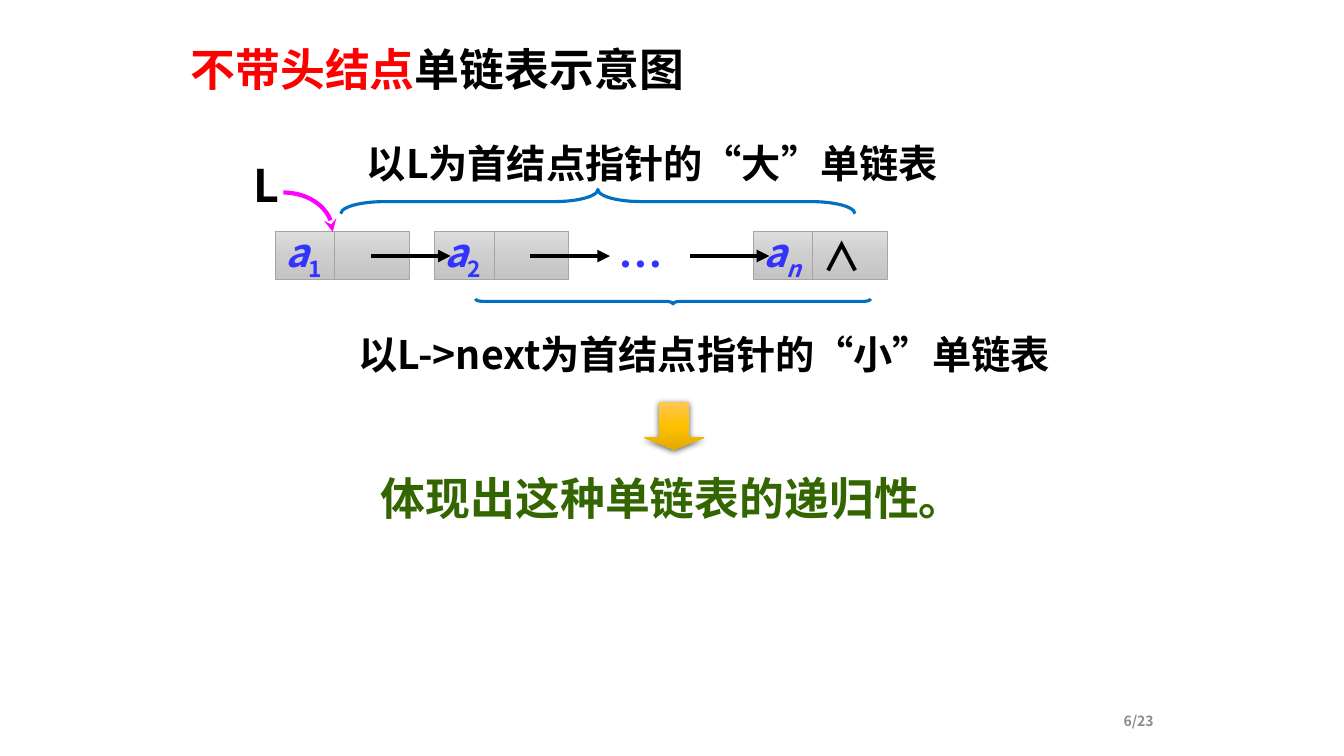
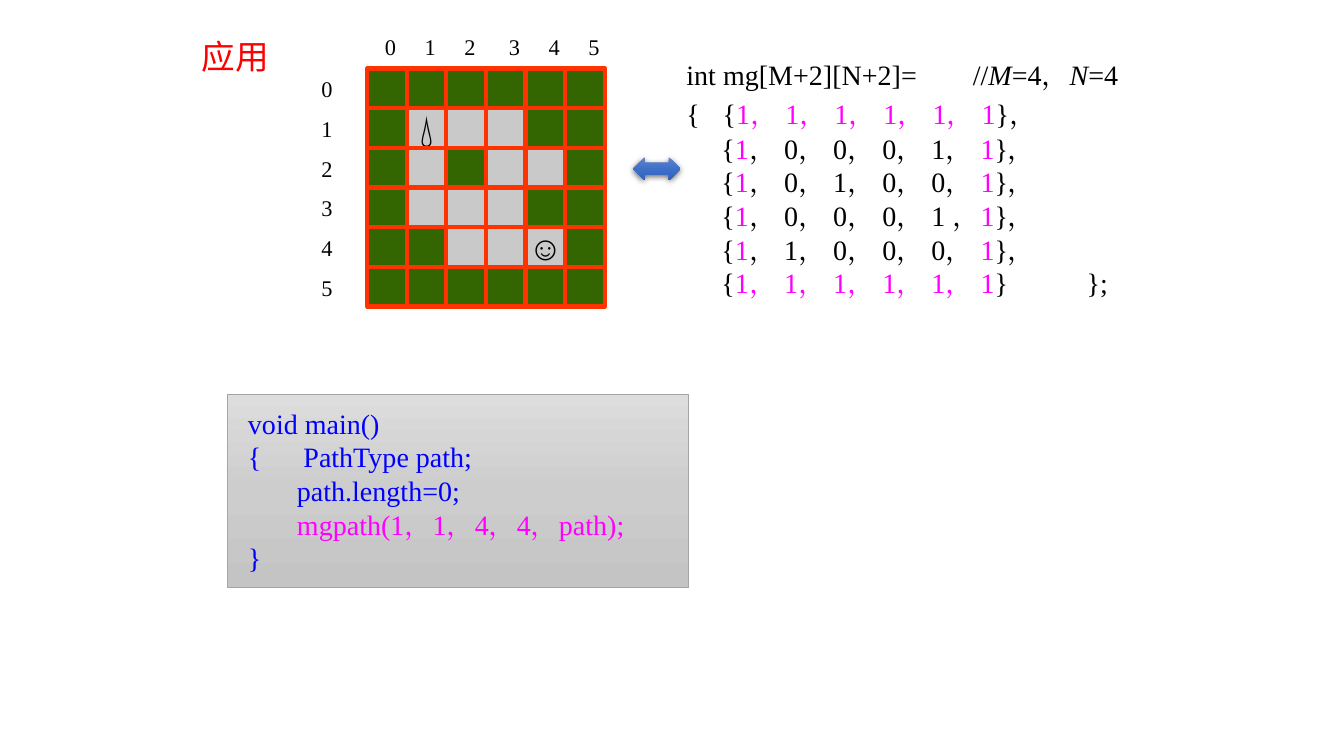
from copy import deepcopy
from math import cos, pi, sin

from lxml.etree import SubElement
from pptx import Presentation
from pptx.dml.color import RGBColor
from pptx.enum.shapes import MSO_CONNECTOR, MSO_SHAPE
from pptx.enum.text import MSO_ANCHOR, MSO_AUTO_SIZE, PP_ALIGN
from pptx.oxml.ns import qn
from pptx.util import Inches, Pt

# Shared fonts and colours
SANS, SERIF = "Noto Sans CJK SC", "Times New Roman"
BLACK, RED, PINK, GREEN = "000000", "FF0000", "FF00FF", "336600"
BLUE, CODE, BRACE, EDGE = "3333FF", "0000FF", "0070C0", "A5A5A5"
LIGHT, FRAME, PALE = "C9C9C9", "FF3300", "8C8C8C"
GREY = ("DDDDDD", "CDCDCD", "C4C4C4")
GOLD = ("FFC752", "FFC000", "E3AB00")
SKY = ("6384CB", "3E70CA", "3162BA")

# Maze: 1 is wall, 0 is floor
MAZE = ("111111", "100011", "101001", "100011", "110001", "111111")
SIGNS = {(1, 1): "💧", (4, 4): "☺"}
CELL = 2.36 / 6


def rgb(code):
    return RGBColor.from_string(code)


def box(at):
    return [Inches(v) for v in at]


# Text
def write(frame, lines, size, font=SANS, bold=True,
          align=PP_ALIGN.LEFT, tabs=()):
    """Each line is a list of (text, colour, marks) runs.

    Marks: i italic, s subscript, l large.
    """
    for i, line in enumerate(lines):
        para = frame.paragraphs[0] if i == 0 else frame.add_paragraph()
        para.alignment = align
        if tabs:
            stops = SubElement(para._p.get_or_add_pPr(), qn("a:tabLst"))
            for stop in tabs:
                SubElement(stops, qn("a:tab"), pos=str(Inches(stop)), algn="l")
        for text, tint, *marks in line:
            run = para.add_run()
            run.text = text
            face = run.font
            face.name, face.bold = font, bold
            face.size = Pt(24 if "l" in marks else size)
            face.italic = "i" in marks
            face.color.rgb = rgb(tint)
            props = run._r.get_or_add_rPr()
            if "s" in marks:
                props.set("baseline", "-25000")
            SubElement(props, qn("a:ea"), typeface=font)


def note(slide, at, lines, size, anchor=MSO_ANCHOR.TOP, **style):
    frame = slide.shapes.add_textbox(*box(at)).text_frame
    frame.word_wrap = True
    if anchor == MSO_ANCHOR.TOP:
        frame.auto_size = MSO_AUTO_SIZE.SHAPE_TO_FIT_TEXT
    frame.vertical_anchor = anchor
    write(frame, lines, size, **style)


def head(slide, at, runs, size, bold):
    title = slide.shapes.title
    title.left, title.top, title.width, title.height = box(at)
    frame = title.text_frame
    frame.word_wrap = True
    frame.auto_size = MSO_AUTO_SIZE.SHAPE_TO_FIT_TEXT
    frame.vertical_anchor = MSO_ANCHOR.TOP
    write(frame, [runs], size, bold=bold)


# Shapes
def paint(shape, fill=None, line=None, width=0.5):
    """Fill is a hex string, a trio of gradient stops or None."""
    shape.shadow.inherit = False
    if fill is None:
        shape.fill.background()
    elif isinstance(fill, str):
        shape.fill.solid()
        shape.fill.fore_color.rgb = rgb(fill)
    else:
        shape.fill.gradient()
        shape.fill.gradient_angle = 270
        stops = shape._element.spPr.find(".//" + qn("a:gsLst"))
        stops.insert(1, deepcopy(stops[0]))
        for stop, place, tint in zip(shape.fill.gradient_stops, (0, 0.5, 1), fill):
            stop.position = place
            stop.color.rgb = rgb(tint)
    if line:
        shape.line.color.rgb = rgb(line)
        shape.line.width = Pt(width)
    else:
        shape.line.fill.background()


def draw(slide, kind, at, fill=None, line=None, width=0.5, adjust=()):
    shape = slide.shapes.add_shape(kind, *box(at))
    paint(shape, fill, line, width)
    for i, value in enumerate(adjust):
        shape.adjustments[i] = value
    return shape


def label(shape, runs, size, **style):
    shape.text_frame.word_wrap = False
    shape.text_frame.vertical_anchor = MSO_ANCHOR.MIDDLE
    write(shape.text_frame, [runs], size, **style)


def block(slide, kind, at, fill, adjust):
    """Gradient arrow with a soft shadow below."""
    shape = draw(slide, kind, at, fill, adjust=adjust)
    effects = shape._element.spPr.find(qn("a:effectLst"))
    shade = SubElement(effects, qn("a:outerShdw"), blurRad=str(Pt(4.5)),
                       dist=str(Pt(1.5)), dir="5400000", rotWithShape="0")
    tint = SubElement(shade, qn("a:srgbClr"), val=BLACK)
    SubElement(tint, qn("a:alpha"), val="63000")


def brace(slide, at, turn, curve):
    shape = draw(slide, MSO_SHAPE.RIGHT_BRACE, at, None, BRACE, 2.25, (curve, 0.5))
    shape.rotation = turn


# Lines
def tip(shape, kind):
    SubElement(shape._element.spPr.find(qn("a:ln")), qn("a:tailEnd"), type=kind)


def arrow(slide, left, top, width):
    line = slide.shapes.add_connector(
        MSO_CONNECTOR.STRAIGHT, *box((left, top, left + width, top)))
    line.line.color.rgb = rgb(BLACK)
    line.line.width = Pt(3)
    tip(line, "triangle")
    SubElement(line._element.spPr, qn("a:effectLst"))


def hook(slide, left, top, width, height):
    """Quarter arc from the top left to the bottom right."""
    turns = [pi / 2 * i / 24 for i in range(25)]
    points = [box((left + width * sin(t), top + height * (1 - cos(t))))
              for t in turns]
    maker = slide.shapes.build_freeform(*points[0])
    maker.add_line_segments(points[1:], close=False)
    curve = maker.convert_to_shape()
    paint(curve, None, PINK, 3)
    tip(curve, "stealth")


# Slide 1: linked list
def node(slide, left, runs, mark=None):
    cells = [draw(slide, MSO_SHAPE.RECTANGLE, (x, 2.3, 0.74, 0.47), GREY, EDGE)
             for x in (left, left + 0.59)]
    label(cells[0], runs, 28)
    if mark:
        label(cells[1], [(mark, BLACK)], 28)


def chain(slide):
    head(slide, (1.79, 0.36, 6.01, 0.64),
         [("不带头结点", RED), ("单链表示意图", BLACK)], 32, True)

    # Nodes and pointers
    step = 1.58
    node(slide, 2.73, [("a", BLUE, "i"), ("1", BLUE, "s")])
    node(slide, 2.73 + step, [("a", BLUE, "i"), ("2", BLUE, "s")])
    node(slide, 2.73 + 3 * step, [("a", BLUE, "i"), ("n", BLUE, "i", "s")], "∧")
    note(slide, (6.04, 2.3, 0.79, 0.64), [[("…", BLUE)]], 32)
    hook(slide, 2.81, 1.91, 0.49, 0.39)
    note(slide, (2.42, 1.52, 0.59, 0.64), [[("L", BLACK)]], 32)
    for i in range(3):
        arrow(slide, 3.68 + i * step, 2.54, 0.79)

    # Braces and their captions
    note(slide, (3.54, 1.33, 6.12, 0.57),
         [[("以L为首结点指针的“大”单链表", BLACK)]], 28)
    brace(slide, (5.81, -0.55, 0.24, 5.1), 270, 1.8)
    brace(slide, (6.65, 1.03, 0.05, 3.92), 90, 1.37)
    note(slide, (3.46, 3.23, 7.3, 0.57),
         [[("以L->next为首结点指针的“小”单链表", BLACK)]], 28)

    # Conclusion and page number
    block(slide, MSO_SHAPE.DOWN_ARROW, (6.39, 3.99, 0.59, 0.47), GOLD, (0.5, 0.25))
    note(slide, (3.68, 4.62, 6.38, 0.64),
         [[("体现出这种单链表的递归性。", GREEN)]], 32)
    note(slide, (8.73, 6.95, 2.81, 0.4), [[("6/23", PALE)]], 10,
         anchor=MSO_ANCHOR.MIDDLE, align=PP_ALIGN.RIGHT)


# Slide 2: maze
def grid(slide):
    for r, row in enumerate(MAZE):
        for c, digit in enumerate(row):
            at = (3.64 + c * CELL, 0.68 + r * CELL, CELL, CELL)
            fill = GREEN if digit == "1" else LIGHT
            cell = draw(slide, MSO_SHAPE.RECTANGLE, at, fill, FRAME, 3)
            if (r, c) in SIGNS:
                label(cell, [(SIGNS[r, c], BLACK)], 24, font=SERIF,
                      bold=False, align=PP_ALIGN.CENTER)
    for i in range(len(MAZE)):
        shift = 0.05 if i > 2 else 0
        for left, top in ((3.72 + i * CELL + shift, 0.28), (3.09, 0.7 + i * CELL)):
            note(slide, (left, top, 0.47, 0.37), [[(str(i), BLACK)]], 16,
                 font=SERIF, bold=False)


def table():
    """Code lines that declare the maze."""
    lines = [[("int mg[M+2][N+2]=\t//", BLACK), ("M", BLACK, "i"),
              ("=4，", BLACK), ("N", BLACK, "i"), ("=4", BLACK)]]
    last = len(MAZE) - 1
    for i, row in enumerate(MAZE):
        if i == 0:
            runs = [("{", BLACK), ("\t", BLACK, "l"), ("{", BLACK)]
        else:
            runs = [("     {", BLACK)]
        if i in (0, last):
            runs.append(("， ".join(row), PINK))
        else:
            inner = "".join(f"， {digit}" for digit in row[1:-1])
            gap = " ，" if i == 3 else "， "
            runs += [(row[0], PINK), (inner + gap, BLACK), (row[-1], PINK)]
        runs.append(("}\t};" if i == last else "}，", BLACK))
        lines.append(runs)
    return lines


def maze(slide):
    head(slide, (1.9, 0.31, 1.02, 0.5), [("应用", RED)], 24, False)
    grid(slide)
    note(slide, (6.71, 0.52, 4.72, 2.52), table(), 20, font=SERIF,
         bold=False, tabs=(0.36, 2.84, 3.97))

    # Main program
    panel = draw(slide, MSO_SHAPE.RECTANGLE, (2.26, 3.91, 4.57, 1.92), GREY, EDGE)
    frame = panel.text_frame
    frame.word_wrap = True
    frame.vertical_anchor = MSO_ANCHOR.TOP
    frame.margin_left = Inches(0.2)
    frame.margin_top = frame.margin_bottom = Inches(0.12)
    write(frame, [[("void main()", CODE)],
                  [("{\tPathType path;", CODE)],
                  [("       path.length=0;", CODE)],
                  [("       mgpath(1，1，4，4，path);", PINK)],
                  [("}", CODE)]],
          20, font=SERIF, bold=False, tabs=(0.55,))
    block(slide, MSO_SHAPE.LEFT_RIGHT_ARROW, (6.28, 1.56, 0.47, 0.23), SKY, (0.5, 0.5))


def main():
    deck = Presentation()
    deck.slide_width, deck.slide_height = Inches(13.33), Inches(7.5)
    for build in (chain, maze):
        build(deck.slides.add_slide(deck.slide_layouts[5]))
    deck.save("out.pptx")


if __name__ == "__main__":
    main()
